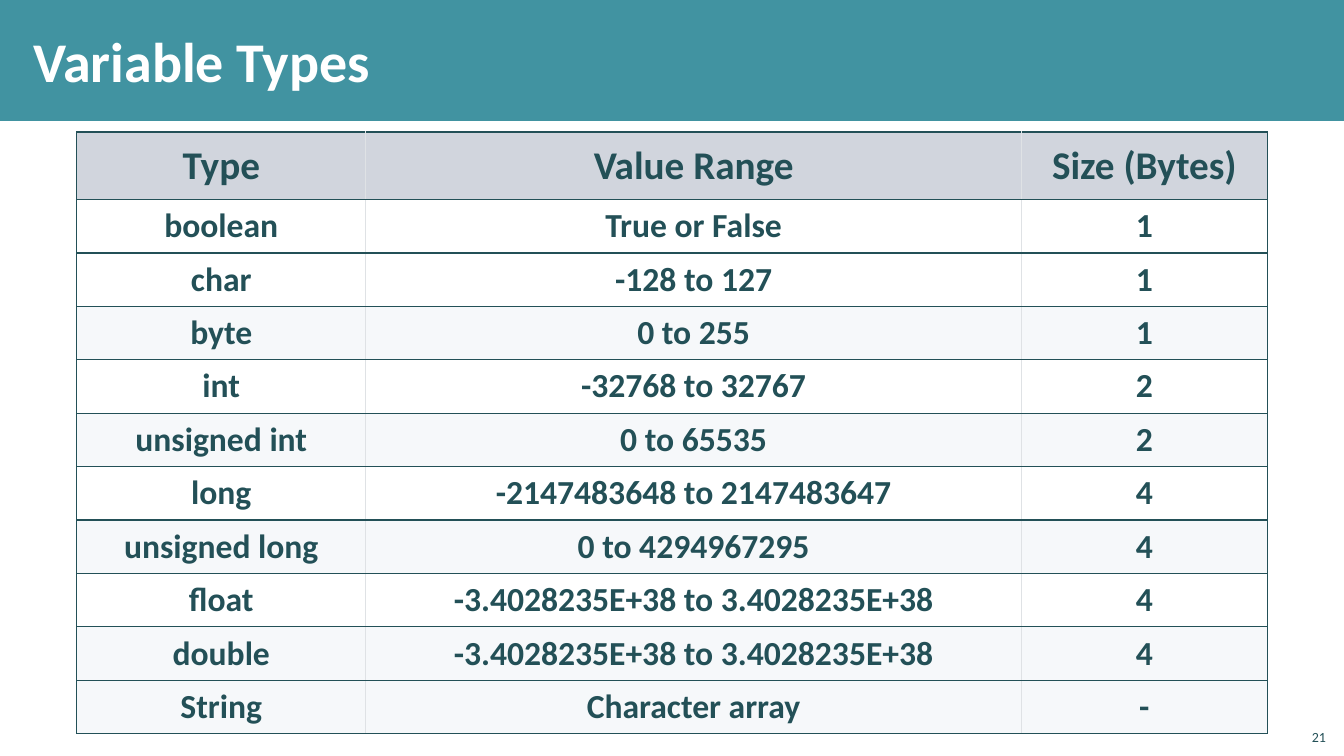
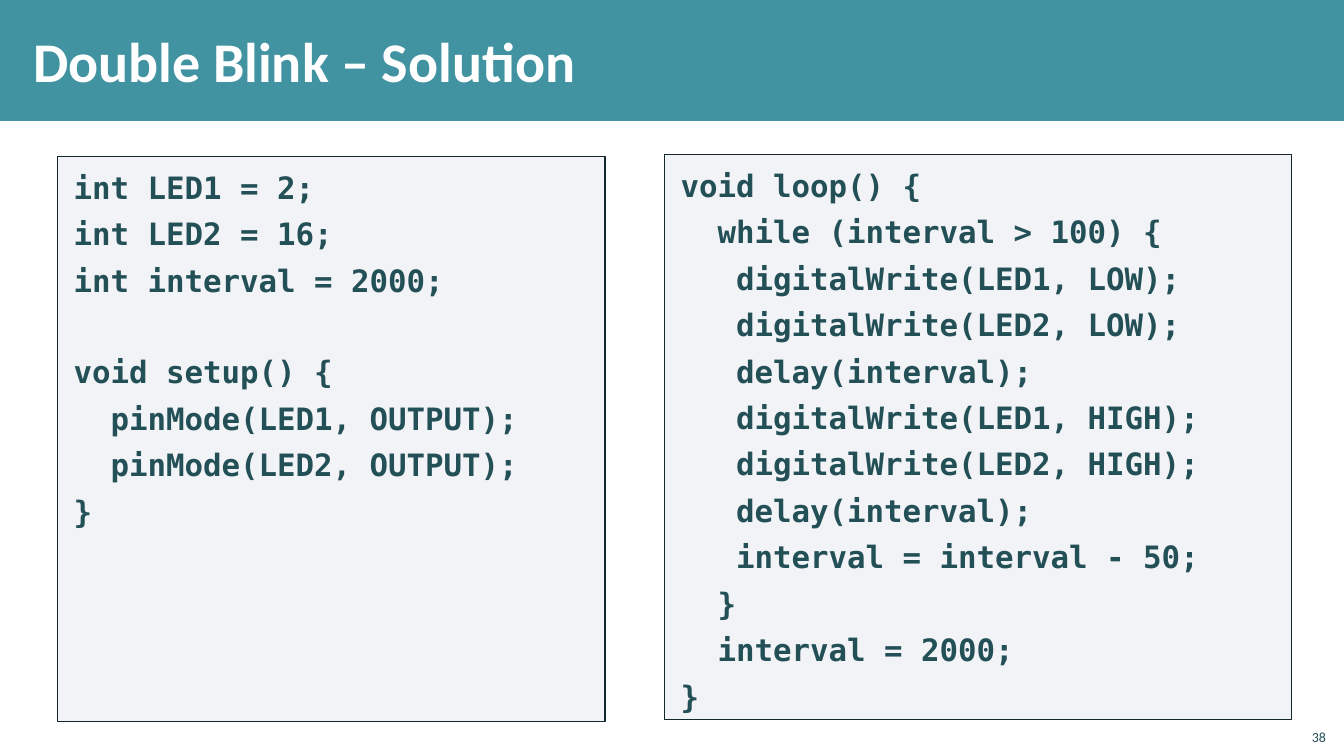
"""Build two lesson slides: a table of variable types and a code solution."""
from dataclasses import dataclass

from lxml import etree
from pptx import Presentation
from pptx.dml.color import RGBColor
from pptx.enum.shapes import MSO_SHAPE
from pptx.enum.text import MSO_ANCHOR, MSO_AUTO_SIZE, PP_ALIGN
from pptx.oxml.ns import qn
from pptx.util import Inches, Pt

RECT = MSO_SHAPE.RECTANGLE
TOP, MIDDLE, BOTTOM = MSO_ANCHOR.TOP, MSO_ANCHOR.MIDDLE, MSO_ANCHOR.BOTTOM
LEFT, CENTER, RIGHT = PP_ALIGN.LEFT, PP_ALIGN.CENTER, PP_ALIGN.RIGHT
FIXED = MSO_AUTO_SIZE.NONE


@dataclass(frozen=True)
class Theme:
    """Colours, fonts and type sizes of the deck."""
    band: str = "4193A1"
    ink: str = "235057"
    white: str = "FFFFFF"
    head: str = "D1D5DD"
    stripe: str = "F6F8FA"
    rule: str = "DFE2E5"
    panel: str = "ADB4C3"
    edge: str = "12282C"
    sans: str = "Calibri"
    mono: str = "DejaVu Sans Mono"
    title: float = 40
    header: float = 28
    body: float = 24
    code: float = 22
    small: float = 10
    space: float = 3.4
    gap: float = 35.8


THEME = Theme()

TYPES = [
    ("Type", "Value Range", "Size (Bytes)"),
    ("boolean", "True or False", "1"),
    ("char", "-128 to 127", "1"),
    ("byte", "0 to 255", "1"),
    ("int", "-32768 to 32767", "2"),
    ("unsigned int", "0 to 65535", "2"),
    ("long", "-2147483648 to 2147483647", "4"),
    ("unsigned long", "0 to 4294967295", "4"),
    ("float", "-3.4028235E+38 to 3.4028235E+38", "4"),
    ("double", "-3.4028235E+38 to 3.4028235E+38", "4"),
    ("String", "Character array", "-"),
]
WIDTHS = (2.87, 6.5, 2.44)
HEAD_ROW, BODY_ROW = 0.67, 0.53
STRIPES = {3, 5, 7, 9, 10}

SETUP = ["""int LED1 = 2;
int LED2 = 16;
int interval = 2000;""", """void setup() {
  pinMode(LED1, OUTPUT);
  pinMode(LED2, OUTPUT);
}"""]

LOOP = ["""void loop() {
  while (interval > 100) {
   digitalWrite(LED1, LOW);
   digitalWrite(LED2, LOW);
   delay(interval);
   digitalWrite(LED1, HIGH);
   digitalWrite(LED2, HIGH);
   delay(interval);
   interval = interval - 50;
  }
  interval = 2000;
}"""]


def assign(obj, values):
    """Set attributes from a dict."""
    for name, value in values.items():
        setattr(obj, name, value)


def box(*sizes):
    """Turn lengths in inches into left, top, width and height."""
    return [Inches(size) for size in sizes]


def paint(fill, color):
    """Give a fill one solid colour."""
    fill.solid()
    fill.fore_color.rgb = RGBColor.from_string(color)


def margins(side, end):
    """Return equal side margins and equal end margins."""
    return {"margin_left": Inches(side), "margin_right": Inches(side),
            "margin_top": Inches(end), "margin_bottom": Inches(end)}


def style(para, size, color=THEME.ink, bold=True, name=THEME.sans, align=LEFT):
    """Format one paragraph."""
    para.alignment = align
    assign(para.font, {"size": Pt(size), "bold": bold, "name": name})
    para.font.color.rgb = RGBColor.from_string(color)


def frame(shape, anchor, side, end):
    """Set up the text frame of a shape and return it."""
    assign(shape.text_frame, {"word_wrap": True, "auto_size": FIXED,
                              "vertical_anchor": anchor, **margins(side, end)})
    return shape.text_frame


def block(slide, area, color):
    """Add a flat rectangle."""
    shape = slide.shapes.add_shape(RECT, *box(*area))
    shape.shadow.inherit = False
    paint(shape.fill, color)
    shape.line.fill.background()
    return shape


def page(deck, text, number):
    """Add a slide with its band, title and page number."""
    slide = deck.slides.add_slide(deck.slide_layouts[5])
    title = slide.shapes.title
    band = block(slide, (0, 0, 13.33, 1.2), THEME.band)
    title.element.addprevious(band.element)
    left, top, width, height = box(0.21, 0.11, 10.71, 0.97)
    assign(title, {"left": left, "top": top, "width": width, "height": height})
    body = frame(title, MIDDLE, 0.12, 0.04)
    body.text = text
    style(body.paragraphs[0], THEME.title, THEME.white)
    foot = frame(slide.shapes.add_textbox(*box(12.85, 7.12, 0.4, 0.32)),
                 BOTTOM, 0.1, 0.05)
    foot.text = str(number)
    style(foot.paragraphs[0], THEME.small, bold=False, align=RIGHT)
    return slide


def border(cell, sides):
    """Draw the left, right, top and bottom lines of a cell."""
    props = cell._tc.get_or_add_tcPr()
    for spot, (tag, color, width) in enumerate(sides):
        line = etree.Element(qn(f"a:{tag}"), w=str(Pt(width)))
        fill = etree.SubElement(line, qn("a:solidFill"))
        etree.SubElement(fill, qn("a:srgbClr"), val=color)
        props.insert(spot, line)


def grid(slide, rows, left, top):
    """Add the table of types."""
    high = HEAD_ROW + BODY_ROW * (len(rows) - 1)
    table = slide.shapes.add_table(
        len(rows), len(WIDTHS), *box(left, top, sum(WIDTHS), high)).table
    assign(table, {"first_row": False, "horz_banding": False})
    for col, width in zip(table.columns, WIDTHS):
        col.width = Inches(width)
    dark, light = (THEME.ink, 1), (THEME.rule, 0.75)
    last = len(WIDTHS) - 1
    for r, row in enumerate(rows):
        table.rows[r].height = Inches(BODY_ROW if r else HEAD_ROW)
        shade = THEME.stripe if r in STRIPES else THEME.white
        for c, text in enumerate(row):
            cell = table.cell(r, c)
            cell.text = text
            assign(cell, {"vertical_anchor": MIDDLE, **margins(0.12, 0.06)})
            paint(cell.fill, shade if r else THEME.head)
            style(cell.text_frame.paragraphs[0],
                  THEME.body if r else THEME.header, align=CENTER)
            border(cell, [("lnL", *(light if c else dark)),
                          ("lnR", *(light if c < last else dark)),
                          ("lnT", *dark), ("lnB", *dark)])


def code(slide, parts, area):
    """Add a tinted panel of code, with a gap between its parts."""
    shape = block(slide, area, THEME.panel)
    tint = shape.element.spPr.find(f".//{qn('a:srgbClr')}")
    etree.SubElement(tint, qn("a:alpha"), val="15000")
    paint(shape.line.fill, THEME.edge)
    shape.line.width = Pt(1)
    body = frame(shape, TOP, 0.16, 0.12)
    for p, part in enumerate(parts):
        for n, line in enumerate(part.splitlines()):
            first = p == n == 0
            para = body.paragraphs[0] if first else body.add_paragraph()
            para.text = line
            before = THEME.space if n else THEME.gap
            assign(para, {"space_before": Pt(0 if first else before),
                          "space_after": Pt(THEME.space)})
            style(para, THEME.code, name=THEME.mono)


def main():
    """Build and save the deck."""
    deck = Presentation()
    assign(deck, {"slide_width": Inches(13.33), "slide_height": Inches(7.5)})
    grid(page(deck, "Variable Types", 21), TYPES, 0.76, 1.31)
    slide = page(deck, "Double Blink – Solution", 38)
    code(slide, LOOP, (6.59, 1.53, 6.22, 5.61))
    code(slide, SETUP, (0.57, 1.55, 5.43, 5.61))
    deck.save("out.pptx")


if __name__ == "__main__":
    main()
